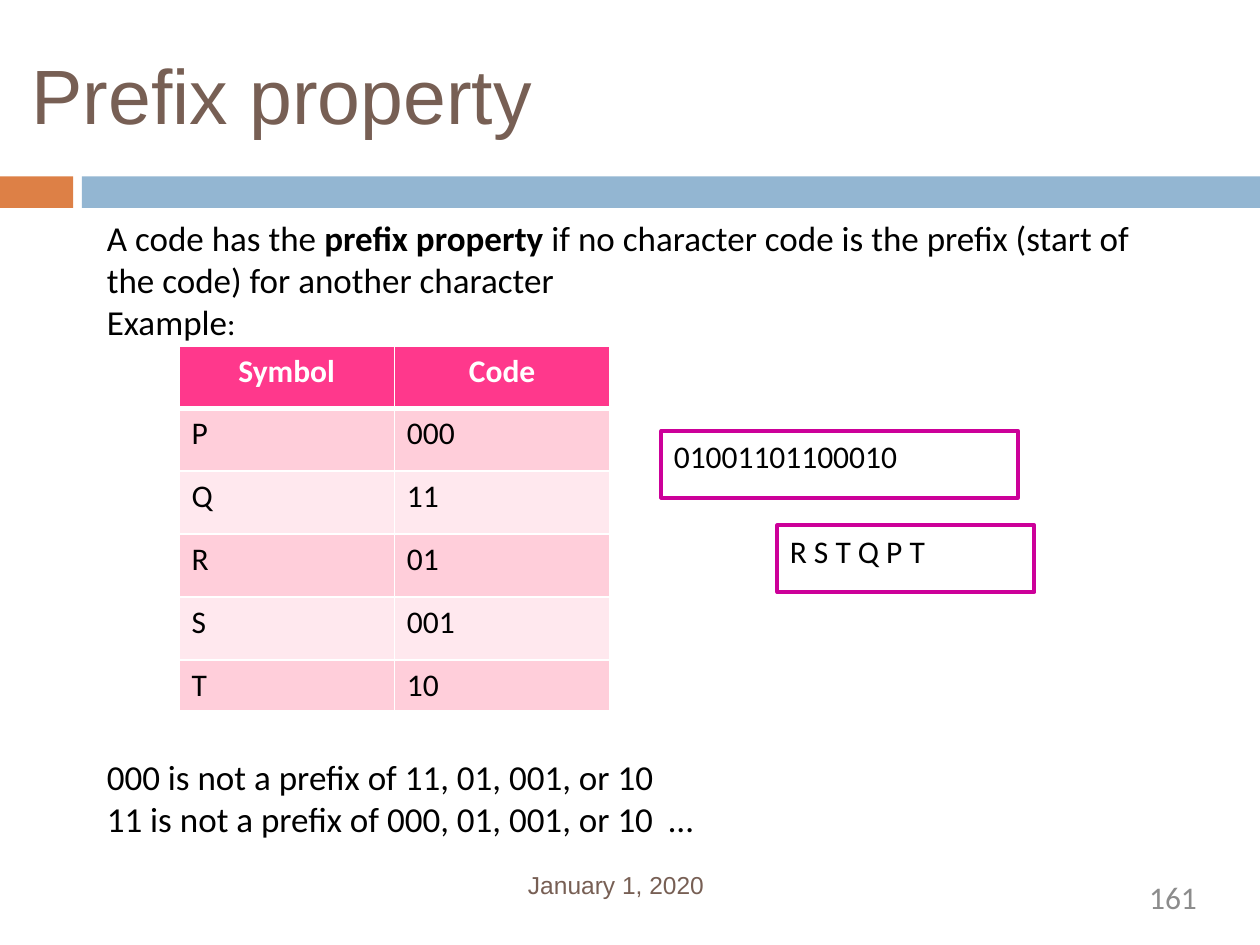
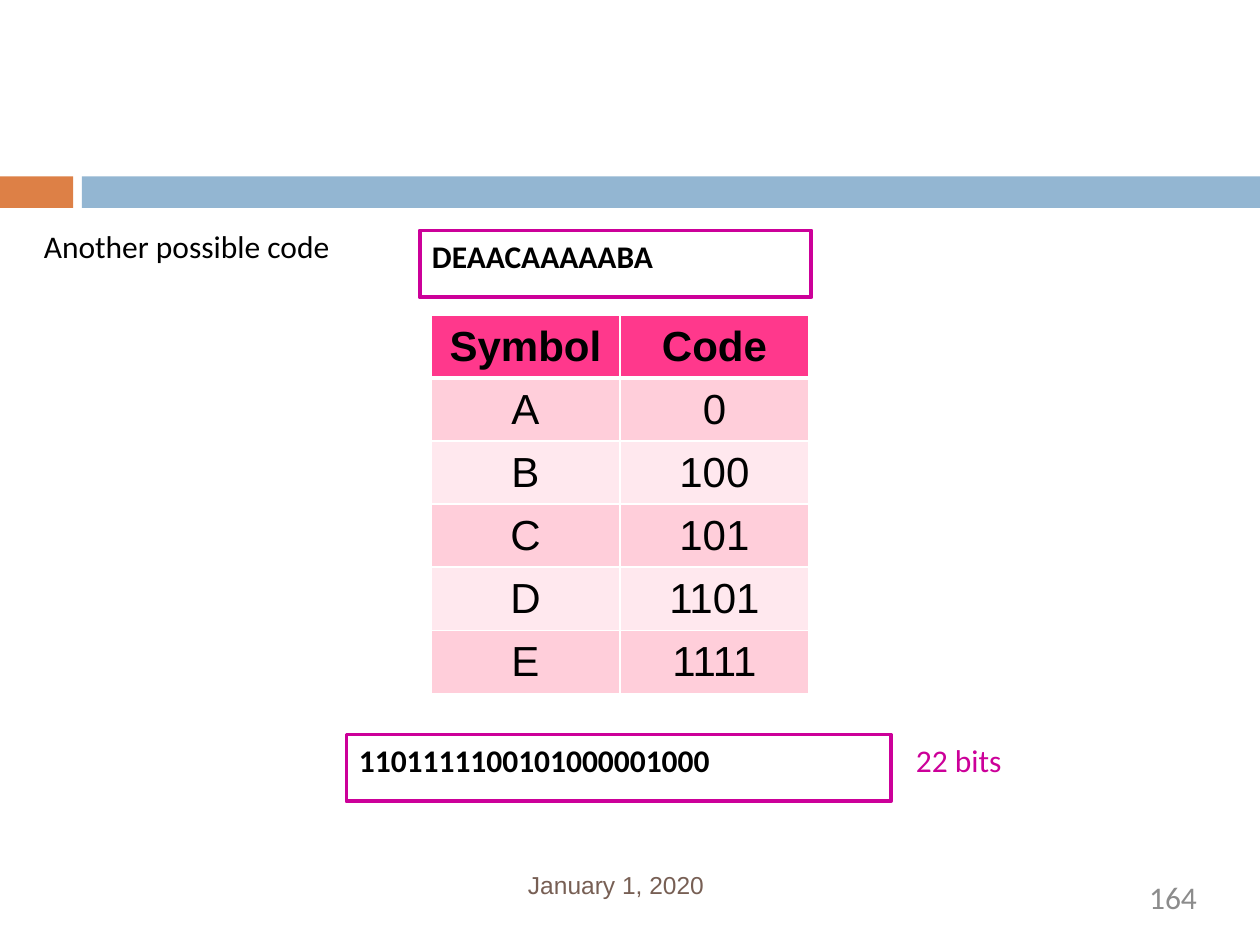
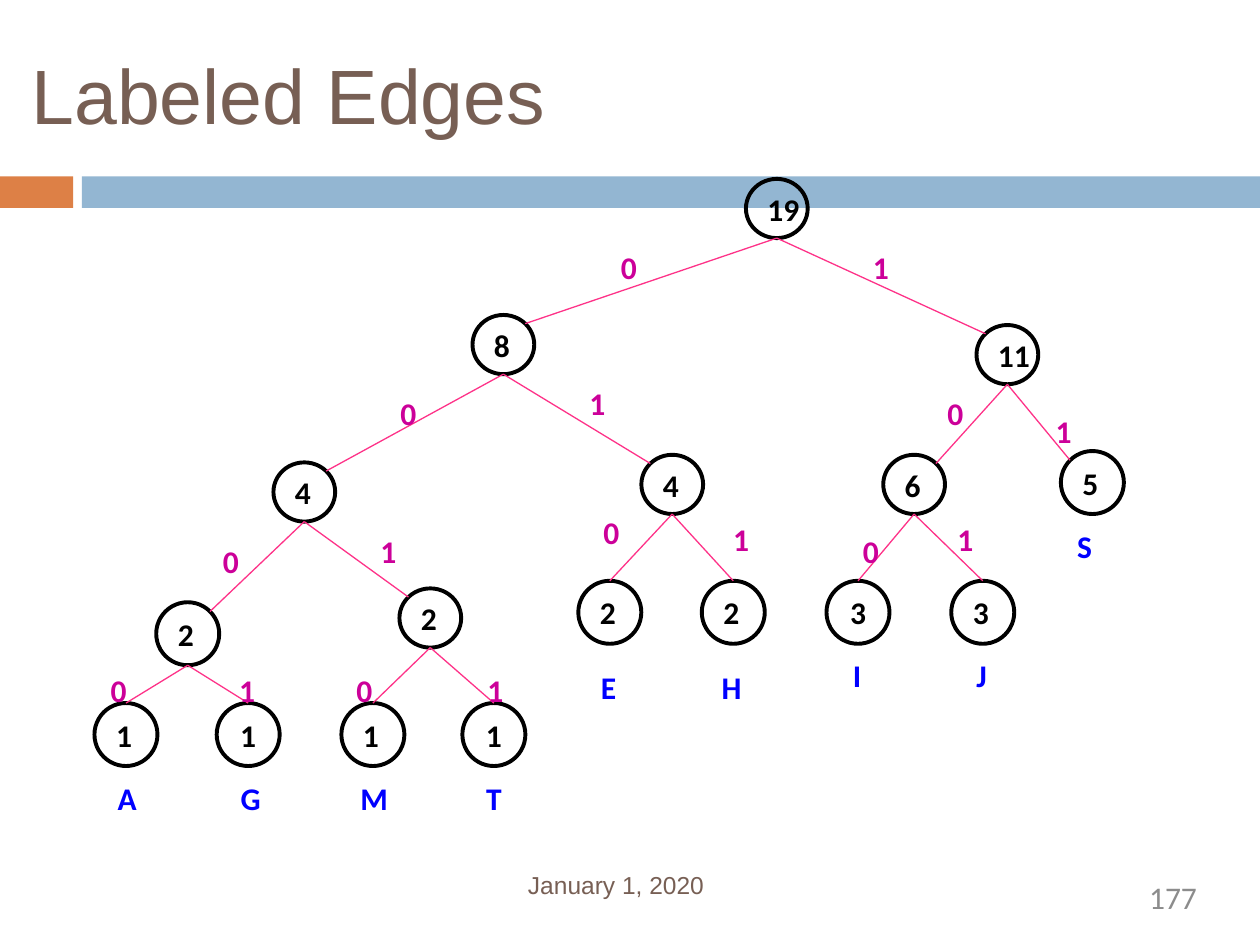
from typing import Any, NamedTuple, Optional

from lxml import etree
from pptx import Presentation
from pptx import util as u
from pptx.dml.color import RGBColor
from pptx.enum import shapes, text
from pptx.oxml.ns import qn

PX = 9144  # EMU per px, 100 px to the inch
COLORS = {
    "orange": "DD8046", "blue": "93B6D2", "brown": "775F54", "gray": "8C8C8C",
    "black": "000000", "white": "FFFFFF", "magenta": "CC0099", "letter": "0000FF",
    "edge": "FE3288", "header": "FF388C", "odd": "FFCEDA", "even": "FFE8EE",
}
LEFT, CENTER, RIGHT = text.PP_ALIGN.LEFT, text.PP_ALIGN.CENTER, text.PP_ALIGN.RIGHT
TOP, MIDDLE = text.MSO_ANCHOR.TOP, text.MSO_ANCHOR.MIDDLE
GROW = text.MSO_AUTO_SIZE.SHAPE_TO_FIT_TEXT
MARGINS = ("margin_left", "margin_top", "margin_right", "margin_bottom")


class Box(NamedTuple):
    x: int
    y: int
    w: int
    h: int


class Style(NamedTuple):
    size: int = 18
    color: str = "black"
    bold: bool = False
    font: str = "Calibri"
    align: Any = LEFT


class Label(NamedTuple):
    text: str
    box: Box
    style: Style


class Node(NamedTuple):
    key: str                    # letters found below this node
    parent: str
    count: str
    box: Box
    bit: Optional[Label] = None
    letter: Optional[Label] = None
    align: Any = LEFT


class TableSpec(NamedTuple):
    box: Box
    rows: list[tuple[str, str]]
    heights: list[int]
    head: Style
    body: Style
    anchor: Any


TITLE = Style(44, "brown", font="Arial")
DATE = Style(14, "brown", font="Arial")
NUMBER = Style(18, "gray", align=RIGHT)
BODY = Style(20)
PLAIN = Style()
BOLD = Style(bold=True)
BIT = Style(color="magenta", bold=True)
LETTER = Style(color="letter", bold=True)


def px(*lengths: float) -> list[u.Emu]:
    return [u.Emu(round(n * PX)) for n in lengths]


def rgb(name: str) -> RGBColor:
    return RGBColor.from_string(COLORS[name])


def apply(target: Any, values: dict[str, Any]) -> None:
    for name, value in values.items():
        setattr(target, name, value)


# Text
def add_run(p: Any, words: str, style: Style) -> None:
    r = p.add_run()
    r.text = words
    apply(r.font, {"size": u.Pt(style.size), "bold": style.bold, "name": style.font})
    r.font.color.rgb = rgb(style.color)
    p.alignment = style.align


def add_text(s: Any, label: Label, **frame: Any) -> Any:
    tf = s.shapes.add_textbox(*px(*label.box)).text_frame
    apply(tf, {"word_wrap": False, "auto_size": GROW} | frame)
    add_run(tf.paragraphs[0], label.text, label.style)
    return tf


# Shapes
def add_outline(s: Any, label: Label, kind: Any, anchor: Any) -> Any:
    sp = s.shapes.add_shape(kind, *px(*label.box))
    sp.shadow.inherit = False
    sp.fill.background()
    sp.line.color.rgb = rgb("magenta" if kind == shapes.MSO_SHAPE.RECTANGLE else "black")
    sp.line.width = u.Pt(2.25)
    tf = sp.text_frame
    apply(tf, {"word_wrap": False, "vertical_anchor": anchor})
    add_run(tf.paragraphs[0], label.text, label.style)
    return sp


def add_code_box(s: Any, words: str, box: Box, style: Style) -> None:
    add_outline(s, Label(words, box, style), shapes.MSO_SHAPE.RECTANGLE, TOP)


# Tables
def add_borders(cell: Any, widths: dict[str, float]) -> None:
    pr = cell._tc.get_or_add_tcPr()
    for side, width in widths.items():
        ln = etree.SubElement(pr, qn(f"a:ln{side}"), w=str(u.Pt(width)))
        fill = etree.SubElement(ln, qn("a:solidFill"))
        etree.SubElement(fill, qn("a:srgbClr"), val=COLORS["white"])


def add_code_table(s: Any, spec: TableSpec) -> None:
    table = s.shapes.add_table(len(spec.rows), 2, *px(*spec.box)).table
    apply(table, {"first_row": False, "horz_banding": False})
    for i, (row, height) in enumerate(zip(spec.rows, spec.heights)):
        table.rows[i].height = px(height)[0]
        band = "header" if i == 0 else "odd" if i % 2 else "even"
        for j, words in enumerate(row):
            cell = table.cell(i, j)
            add_borders(cell, {"L": 1, "R": 1, "T": 3 if i == 1 else 1,
                               "B": 3 if i == 0 else 1})
            cell.fill.solid()
            cell.fill.fore_color.rgb = rgb(band)
            cell.vertical_anchor = spec.anchor
            add_run(cell.text_frame.paragraphs[0], words, spec.body if i else spec.head)


# Shared slide frame
def new_slide(prs: Any, number: str, title: str = "") -> Any:
    s = prs.slides.add_slide(prs.slide_layouts[6])
    for box, color in ((Box(0, 140, 58, 25), "orange"), (Box(65, 140, 935, 25), "blue")):
        sp = s.shapes.add_shape(shapes.MSO_SHAPE.RECTANGLE, *px(*box))
        sp.shadow.inherit = False
        sp.fill.solid()
        sp.fill.fore_color.rgb = rgb(color)
        sp.line.fill.background()
    flush = dict.fromkeys(MARGINS, 0) | {"word_wrap": True}
    if title:
        add_text(s, Label(title, Box(25, 38, 905, 76), TITLE), **flush)
    tf = add_text(s, Label("January 1, 2020", Box(419, 692, 232, 24), DATE), **flush)
    tf.paragraphs[0].line_spacing = u.Pt(15.8)
    add_text(s, Label(number, Box(720, 697, 230, 38), NUMBER), **flush)
    return s


def prefix_slide(prs: Any) -> None:
    s = new_slide(prs, "161", "Prefix property")
    intro = Label("A code has the ", Box(75, 167, 850, 533), BODY)
    tf = add_text(s, intro, word_wrap=True, auto_size=text.MSO_AUTO_SIZE.NONE)
    p = tf.paragraphs[0]
    add_run(p, "prefix property", BODY._replace(bold=True))
    add_run(p, " if no character code is the prefix (start of the code) "
               "for another character", BODY)
    p = tf.add_paragraph()
    add_run(p, "Example", BODY)
    add_run(p, ":", PLAIN)
    p = tf.add_paragraph()
    p.space_before = u.Pt(236)  # room for the table
    add_run(p, "000 is not a prefix of 11, 01, 001, or 10", BODY)
    add_run(tf.add_paragraph(), "11 is not a prefix of 000, 01, 001, or 10  …", BODY)

    add_code_box(s, "01001101100010", Box(525, 342, 283, 53), PLAIN)
    add_code_box(s, "R S T Q P T", Box(617, 417, 204, 53), PLAIN)
    rows = [("Symbol", "Code"), ("P", "000"), ("Q", "11"), ("R", "01"),
            ("S", "001"), ("T", "10")]
    head = Style(color="white", bold=True, align=CENTER)
    add_code_table(s, TableSpec(Box(142, 275, 342, 289), rows,
                                [49, 50, 50, 50, 50, 40], head, PLAIN, TOP))


def another_code_slide(prs: Any) -> None:
    s = new_slide(prs, "164")
    add_text(s, Label("Another possible code", Box(25, 175, 250, 40), PLAIN))
    add_code_box(s, "DEAACAAAAABA", Box(333, 183, 311, 53), BOLD)
    add_code_box(s, "1101111100101000001000", Box(275, 583, 432, 53), BOLD)
    rows = [("Symbol", "Code"), ("A", "0"), ("B", "100"), ("C", "101"),
            ("D", "1101"), ("E", "1111")]
    body = Style(24, font="Arial", align=CENTER)
    add_code_table(s, TableSpec(Box(342, 250, 300, 300), rows, [50] * 6,
                                body._replace(bold=True), body, MIDDLE))
    add_text(s, Label("22 bits", Box(717, 583, 118, 50), Style(color="magenta")))


# Tree
def leaf_box(x: int, y: int) -> Box:
    return Box(x, y, 50, 50)


def inner_box(x: int, y: int) -> Box:
    return Box(x, y, 49, 47)


def bit(value: str, x: int, y: int, w: int = 39, h: int = 50) -> Label:
    return Label(value, Box(x, y, w, h), BIT)


def letter(words: str, x: int, y: int, w: int, h: int = 50, align: Any = LEFT) -> Label:
    return Label(words, Box(x, y, w, h), LETTER._replace(align=align))


TREE = [
    Node("root", "", "19", inner_box(592, 142)),
    Node("AGMTEH", "root", "8", inner_box(375, 250), bit("0", 483, 192)),
    Node("IJS", "root", "11", inner_box(775, 258), bit("1", 683, 192)),
    Node("AGMT", "AGMTEH", "4", inner_box(217, 367), bit("0", 308, 308)),
    Node("EH", "AGMTEH", "4", inner_box(509, 361), bit("1", 458, 300)),
    Node("IJ", "IJS", "6", inner_box(701, 361), bit("0", 742, 308)),
    Node("S", "IJS", "5", leaf_box(842, 358), bit("1", 828, 322, 22, 40),
         letter("S", 845, 413, 42)),
    Node("AG", "AGMT", "2", leaf_box(124, 478), bit("0", 167, 425)),
    Node("MT", "AGMT", "2", inner_box(317, 467), bit("1", 292, 417)),
    Node("E", "EH", "2", leaf_box(459, 461), bit("0", 469, 402),
         letter("E", 467, 525, 42)),
    Node("H", "EH", "2", leaf_box(557, 461), bit("1", 572, 408, 36, 42),
         letter("H", 563, 525, 44)),
    Node("I", "IJ", "3", leaf_box(656, 461), bit("0", 675, 417),
         letter("I", 667, 516, 27, 40), CENTER),
    Node("J", "IJ", "3", leaf_box(755, 461), bit("1", 750, 408),
         letter("J", 765, 516, 29, 40)),
    Node("A", "AG", "1", leaf_box(75, 558), bit("0", 78, 528),
         letter("A", 79, 613, 44, align=CENTER)),
    Node("G", "AG", "1", leaf_box(172, 558), bit("1", 180, 528),
         letter("G", 176, 613, 46, align=CENTER), CENTER),
    Node("M", "MT", "1", leaf_box(271, 558), bit("0", 273, 528),
         letter("M", 273, 613, 48, align=CENTER)),
    Node("T", "MT", "1", leaf_box(367, 558), bit("1", 377, 528),
         letter("T", 376, 613, 40), CENTER),
]


def add_edge(s: Any, parent: Node, child: Node, circle: Any) -> None:
    """Joins pairs of leaves at the top, other children at the facing shoulder."""
    a, b = parent.box, child.box
    to_top = len(parent.key) == 2
    side = 1 if child.bit.text == "0" else -1
    reach_x, reach_y = (0, 1) if to_top else (side * 0.5 ** 0.5, 0.5 ** 0.5)
    start = px(a.x + a.w / 2, a.y + a.h)
    end = px(b.x + b.w / 2 * (1 + reach_x), b.y + b.h / 2 * (1 - reach_y))
    line = s.shapes.add_connector(shapes.MSO_CONNECTOR.STRAIGHT, *start, *end)
    if to_top:
        line.end_connect(circle, 0)
    line.line.color.rgb = rgb("edge")
    line.line.width = u.Pt(0.75)
    etree.SubElement(line._element.spPr, qn("a:effectLst"))


def tree_slide(prs: Any) -> None:
    s = new_slide(prs, "177", "Labeled Edges")
    nodes = {node.key: node for node in TREE}
    circles = {}
    for node in TREE:
        label = Label(node.count, node.box, BOLD._replace(align=node.align))
        circles[node.key] = add_outline(
            s, label, shapes.MSO_SHAPE.FLOWCHART_CONNECTOR, MIDDLE)
    for node in TREE:
        if node.parent:
            add_edge(s, nodes[node.parent], node, circles[node.key])
    for node in TREE:
        for label in filter(None, (node.bit, node.letter)):
            add_text(s, label)


def main() -> None:
    prs = Presentation()
    apply(prs, dict(zip(("slide_width", "slide_height"), px(1000, 750))))
    prefix_slide(prs)
    another_code_slide(prs)
    tree_slide(prs)
    prs.save("out.pptx")


if __name__ == "__main__":
    main()
